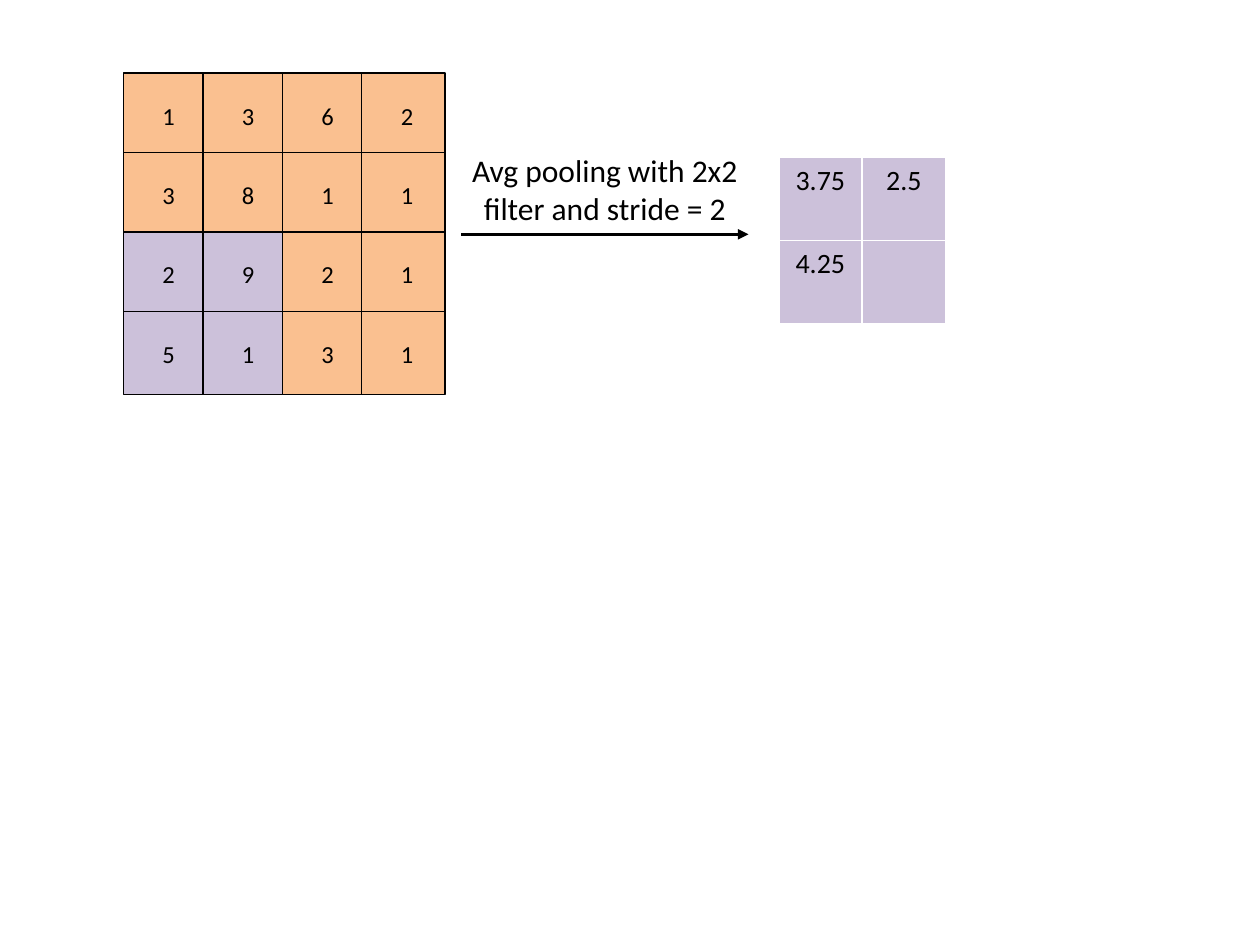
from lxml.etree import SubElement as Sub
from pptx import Presentation
from pptx.dml.color import RGBColor as Rgb
from pptx.enum.shapes import MSO_CONNECTOR as Link, MSO_SHAPE as Shape
from pptx.enum.text import MSO_ANCHOR as Anchor, PP_ALIGN as Align
from pptx.oxml.ns import qn
from pptx.util import Pt

HUES = {"peach": "FAC090", "mauve": "CCC1DA", "ink": "000000", "white": "FFFFFF"}


def hue(name):
    return Rgb.from_string(HUES[name])


def write(frame, text, size=14, color="ink", align=Align.CENTER):
    para = frame.paragraphs[0]
    para.alignment = align
    run = para.add_run()
    run.text = text
    run.font.name = "Calibri"
    run.font.size = Pt(size)
    run.font.color.rgb = hue(color)


deck = Presentation()
deck.slide_width, deck.slide_height = Pt(720), Pt(540)
slide = deck.slides.add_slide(deck.slide_layouts[6])
shapes = slide.shapes

inputs = ["1362", "3811", "2921", "5131"]
left, top, step, side = 70.56, 41.76, 45.4, 47.5
for r, row in enumerate(inputs):
    for c, digit in enumerate(row):
        box = shapes.add_shape(Shape.RECTANGLE, Pt(left + c * step),
                               Pt(top + r * step), Pt(side), Pt(side))
        box.shadow.inherit = False
        box.fill.solid()
        box.fill.fore_color.rgb = hue("mauve" if r > 1 and c < 2 else "peach")
        box.line.color.rgb = hue("ink")
        box.line.width = Pt(0)
        frame = box.text_frame
        frame.word_wrap = True
        frame.vertical_anchor = Anchor.MIDDLE
        frame.margin_left = frame.margin_right = Pt(22.3)
        frame.margin_top, frame.margin_bottom = Pt(4.3), Pt(3.6)
        write(frame, digit)

arrow = shapes.add_connector(Link.STRAIGHT, Pt(263.5), Pt(133.9), Pt(427.7), Pt(133.9))
arrow.line.color.rgb = hue("ink")
arrow.line.width = Pt(2)
Sub(arrow.line._get_or_add_ln(), qn("a:tailEnd"), type="triangle")
Sub(arrow._element.spPr, qn("a:effectLst"))

label = shapes.add_textbox(Pt(257.8), Pt(82.8), Pt(175.7), Pt(51))
label.text_frame.word_wrap = True
write(label.text_frame, "Avg pooling with 2x2 filter and stride = 2", size=18)

pooled = [["3.75", "2.5"], ["4.25", ""]]
table = shapes.add_table(2, 2, Pt(445), Pt(90), Pt(95.5), Pt(95)).table
table.columns[0].width, table.columns[1].width = Pt(47.5), Pt(48)
for r, row in enumerate(pooled):
    table.rows[r].height = Pt(47.5)
    for c, value in enumerate(row):
        cell = table.cell(r, c)
        props = cell._tc.get_or_add_tcPr()
        for edge in ("lnL", "lnR", "lnT", "lnB"):
            line = Sub(props, qn(f"a:{edge}"), w=str(Pt(1)))
            Sub(Sub(line, qn("a:solidFill")), qn("a:srgbClr"), val=HUES["white"])
        cell.fill.solid()
        cell.fill.fore_color.rgb = hue("mauve")
        if value:
            write(cell.text_frame, value, size=16)

deck.save("out.pptx")
